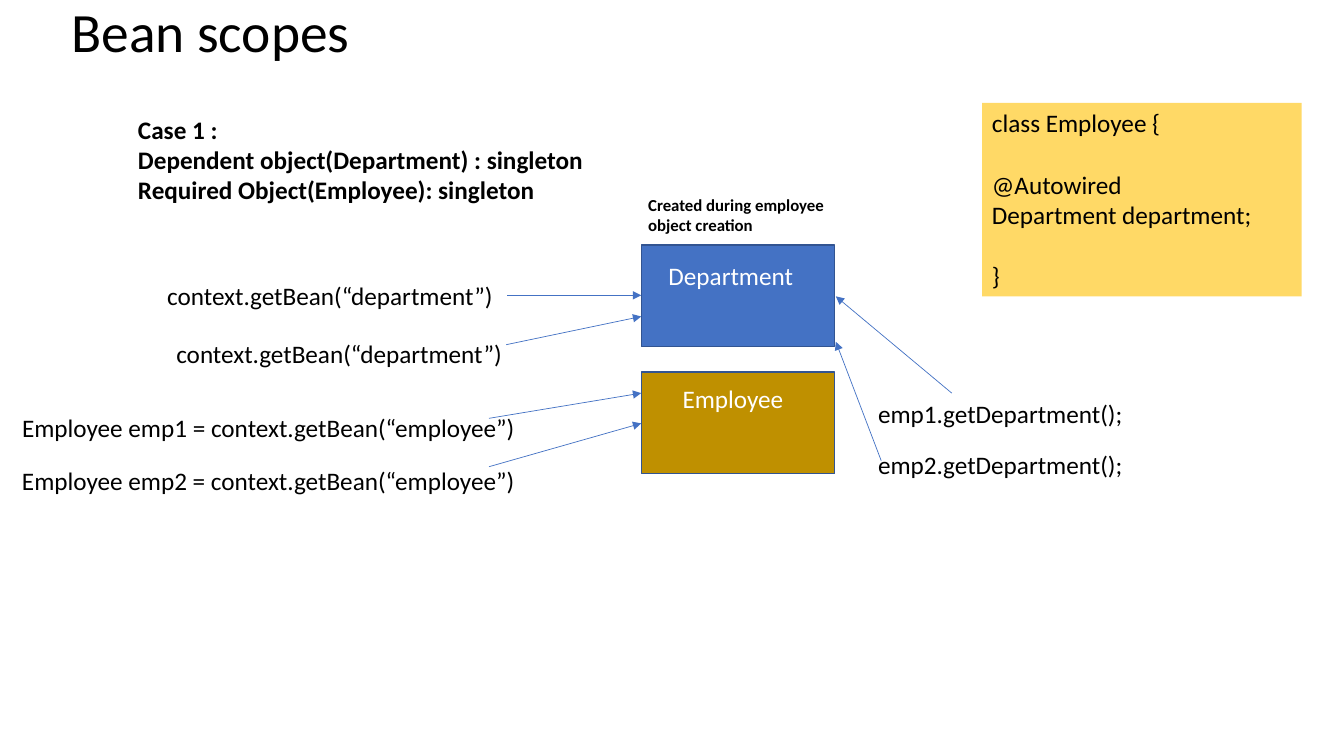
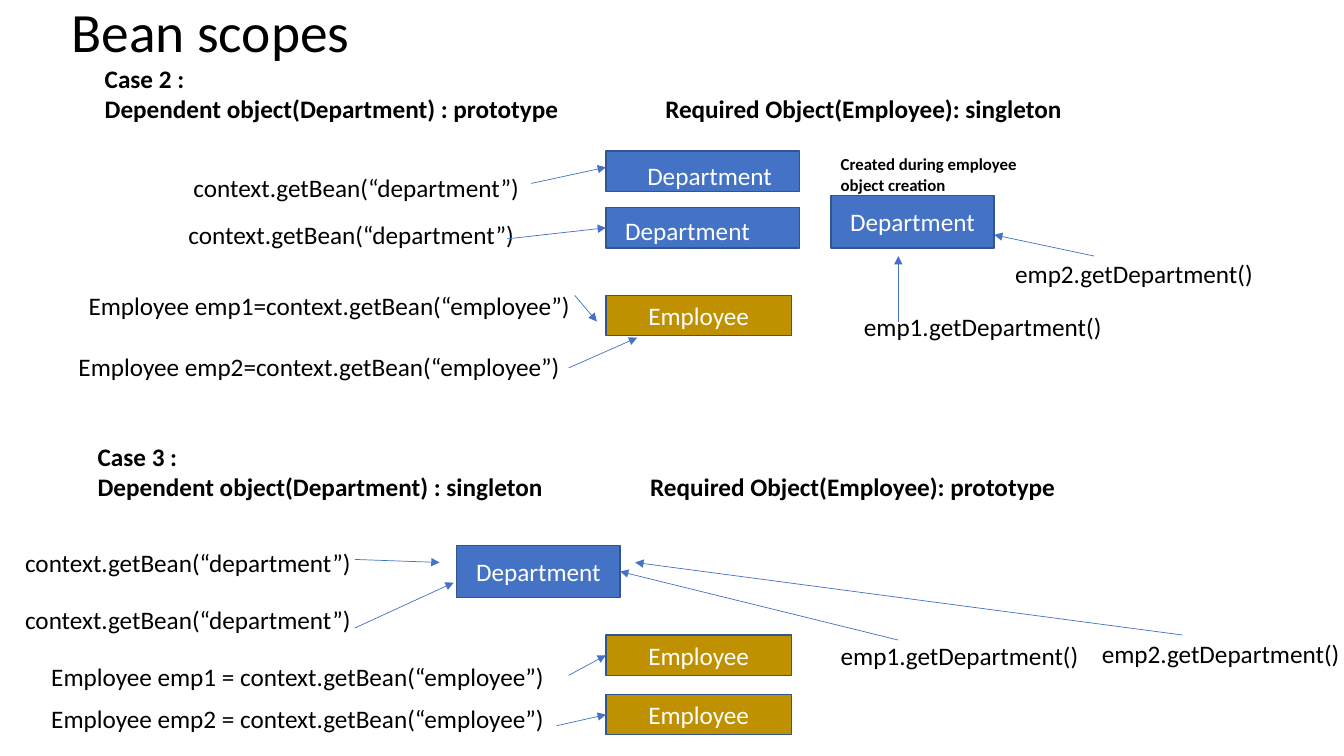
from dataclasses import dataclass

from lxml.etree import SubElement
from pptx import Presentation
from pptx.dml.color import RGBColor
from pptx.enum.shapes import MSO_CONNECTOR, MSO_SHAPE
from pptx.enum.text import MSO_ANCHOR, PP_ALIGN
from pptx.oxml.ns import qn
from pptx.util import Emu, Pt


@dataclass(frozen=True)
class Theme:
    font: str = "Calibri"
    text: RGBColor = RGBColor(0, 0, 0)
    inverse: RGBColor = RGBColor(255, 255, 255)
    department: RGBColor = RGBColor(0x44, 0x72, 0xC4)
    employee: RGBColor = RGBColor(0xBF, 0x90, 0x00)
    code: RGBColor = RGBColor(0xFF, 0xD9, 0x66)
    outline: RGBColor = RGBColor(0x32, 0x54, 0x91)
    arrow: RGBColor = RGBColor(0x44, 0x72, 0xC4)
    title_size: float = 39.6
    body_size: int = 18
    note_size: int = 12
    code_gap: int = 22


THEME = Theme()
BEAN_FILLS = {"Department": THEME.department, "Employee": THEME.employee}
GET_DEPARTMENT = "context.getBean(“department”)"
LABEL_HEIGHT = 40


def px(value):
    return Emu(value * 9144)


def write(shape, lines, size=THEME.body_size, color=THEME.text, bold=False):
    frame = shape.text_frame
    frame.word_wrap = True
    frame.text = "\n".join(lines)
    for paragraph in frame.paragraphs:
        for run in paragraph.runs:
            run.font.name = THEME.font
            run.font.size = Pt(size)
            run.font.bold = bold
            run.font.color.rgb = color
    return frame


def add_text(slide, lines, left, top, width, height=LABEL_HEIGHT, **style):
    box = slide.shapes.add_textbox(px(left), px(top), px(width), px(height))
    return write(box, lines, **style)


def add_rectangle(slide, left, top, width, height, fill):
    shape = slide.shapes.add_shape(
        MSO_SHAPE.RECTANGLE, px(left), px(top), px(width), px(height))
    shape.shadow.inherit = False
    shape.fill.solid()
    shape.fill.fore_color.rgb = fill
    return shape


def add_title(slide):
    frame = add_text(slide, ["Bean scopes"], 61, 17, 1150, 34, size=THEME.title_size)
    frame.vertical_anchor = MSO_ANCHOR.MIDDLE
    frame.paragraphs[0].line_spacing = 0.9


def add_case(slide, lines, left, top, width, height, tab=None):
    frame = add_text(slide, lines, left, top, width, height, bold=True)
    if tab:
        properties = frame.paragraphs[-1]._p.get_or_add_pPr()
        stops = SubElement(properties, qn("a:tabLst"))
        SubElement(stops, qn("a:tab"), pos=str(px(tab)), algn="l")


def add_note(slide, left, top):
    add_text(slide, ["Created during employee object creation"],
             left, top, 232, 50, size=THEME.note_size, bold=True)


def add_code(slide, left, top, width, height):
    shape = add_rectangle(slide, left, top, width, height, THEME.code)
    shape.line.fill.background()
    frame = write(shape, ["class Employee {", "@Autowired", "Department department;", "}"])
    frame.vertical_anchor = MSO_ANCHOR.TOP
    for paragraph in frame.paragraphs:
        paragraph.alignment = PP_ALIGN.LEFT
    for index in (1, 3):
        frame.paragraphs[index].space_before = Pt(THEME.code_gap)


def add_bean(slide, name, left, top, width, height, inset=None):
    shape = add_rectangle(slide, left, top, width, height, BEAN_FILLS[name])
    shape.line.color.rgb = THEME.outline
    shape.line.width = Pt(1)
    frame = write(shape, [name], color=THEME.inverse)
    frame.vertical_anchor = MSO_ANCHOR.MIDDLE
    frame.paragraphs[0].alignment = PP_ALIGN.CENTER
    if inset:
        frame.vertical_anchor = MSO_ANCHOR.TOP
        frame.paragraphs[0].alignment = PP_ALIGN.LEFT
        frame.margin_left, frame.margin_top = map(px, inset)
        frame.margin_bottom = 0


def add_arrow(slide, *ends):
    arrow = slide.shapes.add_connector(MSO_CONNECTOR.STRAIGHT, *map(px, ends))
    arrow.line.color.rgb = THEME.arrow
    arrow.line.width = Pt(0.5)
    SubElement(arrow.line._get_or_add_ln(), qn("a:tailEnd"), type="triangle")
    SubElement(arrow._element.spPr, qn("a:effectLst"))


def add_all(add, slide, rows):
    for row in rows:
        add(slide, *row)


def add_calls(slide, rows):
    for text, left, top, width in rows:
        add_text(slide, [text], left, top, width)


def build_singleton_slide(slide):
    add_title(slide)
    add_case(slide, ["Case 1 :",
                     "Dependent object(Department) : singleton",
                     "Required Object(Employee): singleton"], 127, 108, 689, 101)
    add_code(slide, 974, 102, 317, 192)
    add_all(add_bean, slide, [
        ("Department", 636, 243, 192, 101, (27, 15)),
        ("Employee", 636, 369, 192, 101, (41, 11)),
    ])
    add_calls(slide, [
        (GET_DEPARTMENT, 156, 273, 455),
        (GET_DEPARTMENT, 165, 331, 455),
        ("Employee emp1 = context.getBean(“employee”)", 12, 404, 561),
        ("Employee emp2 = context.getBean(“employee”)", 12, 457, 620),
        ("emp1.getDepartment();", 861, 390, 271),
        ("emp2.getDepartment();", 861, 441, 271),
    ])
    add_all(add_arrow, slide, [
        (503, 293, 636, 293),
        (502, 342, 636, 314),
        (485, 415, 636, 390),
        (485, 463, 636, 420),
        (944, 390, 829, 294),
        (874, 457, 829, 339),
    ])
    add_note(slide, 633, 188)


def build_prototype_slide(slide):
    add_title(slide)
    add_case(slide, ["Case 2 :",
                     "Dependent object(Department) : prototype\tRequired Object(Employee): singleton"],
             94, 58, 1086, 71, tab=556)
    add_case(slide, ["Case 3 :",
                     "Dependent object(Department) : singleton\tRequired Object(Employee): prototype"],
             87, 433, 1086, 71, tab=548)
    add_all(add_bean, slide, [
        ("Department", 601, 150, 192, 40, (41, 9)),
        ("Department", 601, 206, 192, 40, (19, 8)),
        ("Department", 824, 194, 162, 52),
        ("Department", 453, 541, 162, 52),
        ("Employee", 601, 293, 184, 40),
        ("Employee", 601, 630, 184, 40),
        ("Employee", 601, 689, 184, 40),
    ])
    add_calls(slide, [
        (GET_DEPARTMENT, 182, 166, 455),
        (GET_DEPARTMENT, 177, 213, 455),
        ("Employee emp1=context.getBean(“employee”)", 78, 283, 615),
        ("Employee emp2=context.getBean(“employee”)", 68, 344, 615),
        ("emp1.getDepartment()", 847, 304, 300),
        ("emp2.getDepartment()", 997, 251, 300),
        (GET_DEPARTMENT, 15, 538, 455),
        (GET_DEPARTMENT, 15, 595, 455),
        ("Employee emp1 = context.getBean(“employee”)", 41, 651, 596),
        ("Employee emp2 = context.getBean(“employee”)", 41, 693, 596),
        ("emp1.getDepartment()", 824, 630, 300),
        ("emp2.getDepartment()", 1083, 628, 300),
    ])
    add_all(add_arrow, slide, [
        (527, 182, 601, 166),
        (503, 237, 601, 226),
        (564, 365, 632, 335),
        (570, 293, 592, 319),
        (891, 319, 891, 254),
        (1085, 254, 986, 233),
        (352, 555, 436, 558),
        (352, 623, 450, 578),
        (564, 670, 601, 650),
        (552, 720, 601, 709),
        (891, 635, 615, 567),
        (1173, 630, 630, 558),
    ])
    add_note(slide, 824, 148)


def main():
    presentation = Presentation()
    presentation.slide_width = px(1333)
    presentation.slide_height = px(750)
    blank = presentation.slide_layouts[6]
    for build in (build_singleton_slide, build_prototype_slide):
        build(presentation.slides.add_slide(blank))
    presentation.save("out.pptx")


if __name__ == "__main__":
    main()
